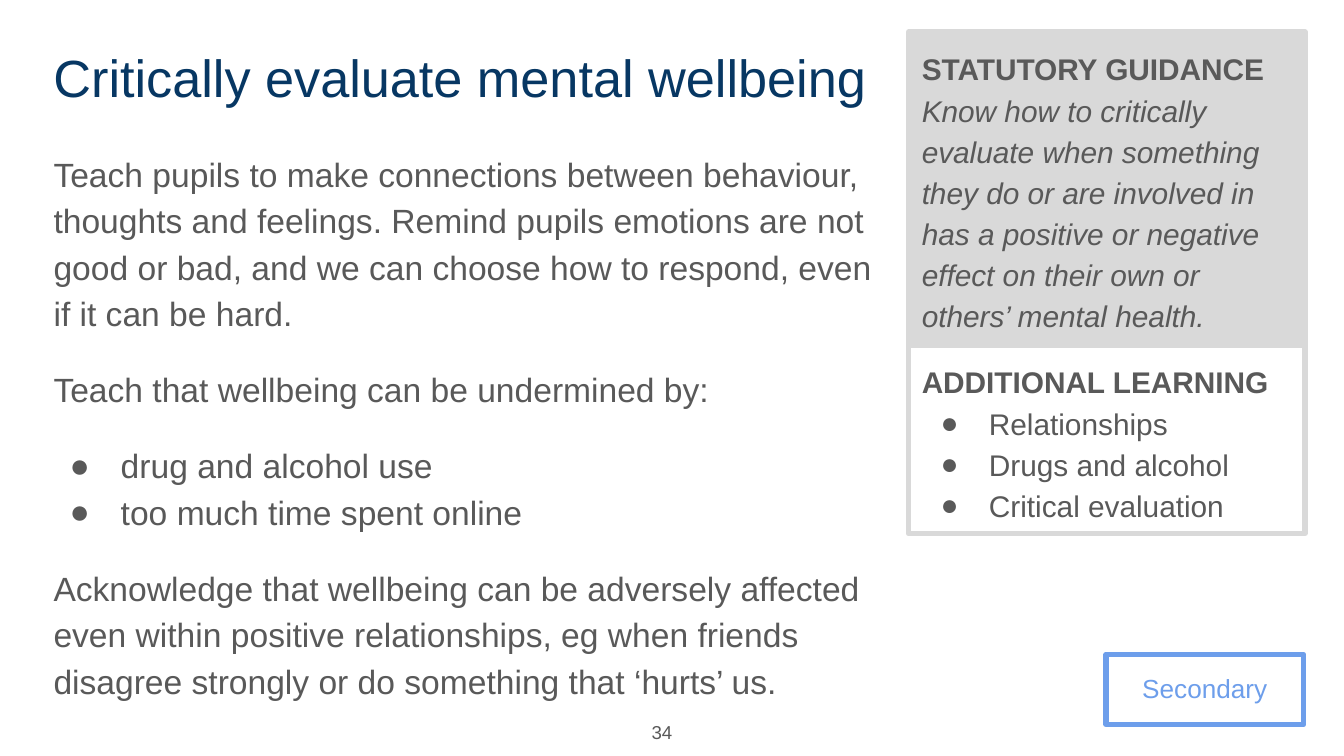
from copy import deepcopy
from dataclasses import dataclass

from lxml.etree import SubElement
from pptx import Presentation
from pptx.dml.color import RGBColor
from pptx.enum.shapes import MSO_SHAPE
from pptx.enum.text import MSO_ANCHOR, PP_ALIGN
from pptx.oxml.ns import qn
from pptx.util import Inches, Pt

FONT = "Arial"
NAVY, GREY, LIGHT_GREY, BLUE = "073763", "595959", "D9D9D9", "6D9EEB"
BULLET_INDENT = 0.5


@dataclass(frozen=True)
class Line:
    """One paragraph; a vertical tab in the text starts a new line and run."""
    text: str
    before: float = 0
    after: float = 0
    hanging: float = 0
    styles: tuple[str, ...] = ("",)


@dataclass(frozen=True)
class Block:
    """A text block with an optional frame."""
    left: float
    top: float
    width: float
    height: float
    lines: tuple[Line, ...]
    size: float
    color: str = GREY
    border: str = ""
    fill: str = ""
    align: PP_ALIGN = PP_ALIGN.LEFT
    anchor: MSO_ANCHOR = MSO_ANCHOR.TOP
    spacing: float = 1.15


BLOCKS = (
    Block(8.23, 4.87, 1.47, 0.52, (Line("Secondary"),), 14, BLUE, border=BLUE,
          align=PP_ALIGN.CENTER),
    Block(0.3, 0.24, 6.6, 0.63, (Line("Critically evaluate mental wellbeing"),),
          28, NAVY, spacing=1.0),
    Block(0.3, 1, 6.32, 4.12, (
        Line("Teach pupils to make connections between behaviour, thoughts and "
             "feelings. Remind pupils emotions are not good or bad, and we can "
             "choose how to respond, even if it can be hard."),
        Line("Teach that wellbeing can be undermined by: ", before=16),
        Line("drug and alcohol use", before=16, hanging=0.38),
        Line("too much time spent online", hanging=0.38),
        Line("Acknowledge that wellbeing can be adversely affected even within "
             "positive relationships, eg when friends disagree strongly or do "
             "something that ‘hurts’ us.", before=16),
    ), 18),
    Block(6.76, 0.24, 2.95, 2.33, (
        Line("STATUTORY GUIDANCE \vKnow how to critically evaluate when "
             "something they do or are involved in has a positive or negative "
             "effect on their own or others’ mental health.",
             after=16, styles=("bold", "italic")),
    ), 16, border=LIGHT_GREY, fill=LIGHT_GREY),
    Block(4.59, 5.26, 0.51, 0.37, (Line("34"),), 10, align=PP_ALIGN.RIGHT,
          anchor=MSO_ANCHOR.MIDDLE, spacing=1.0),
    Block(6.76, 2.57, 2.95, 1.4, (
        Line("ADDITIONAL LEARNING", styles=("bold",)),
        *(Line(topic, hanging=0.36) for topic in
          ("Relationships", "Drugs and alcohol ", "Critical evaluation")),
    ), 16, border=LIGHT_GREY),
)


def rgb(color: str) -> RGBColor:
    """Turn a hex string into a colour."""
    return RGBColor.from_string(color)


def add_bullet(paragraph, hanging: float, color: str) -> None:
    """Give a paragraph a round bullet and a hanging indent."""
    properties = paragraph._p.get_or_add_pPr()
    properties.set("marL", str(Inches(BULLET_INDENT)))
    properties.set("indent", str(-Inches(hanging)))
    bullet_color = SubElement(properties, qn("a:buClr"))
    SubElement(bullet_color, qn("a:srgbClr"), val=color)
    SubElement(properties, qn("a:buFont"), typeface=FONT)
    SubElement(properties, qn("a:buChar"), char="●")


def write_line(paragraph, line: Line, block: Block) -> None:
    """Write and format one paragraph."""
    paragraph.text = line.text
    paragraph.alignment = block.align
    paragraph.line_spacing = block.spacing
    paragraph.space_before = Pt(line.before)
    paragraph.space_after = Pt(line.after)
    if line.hanging:
        add_bullet(paragraph, line.hanging, block.color)
    for run, style in zip(paragraph.runs, line.styles):
        run.font.name = FONT
        run.font.size = Pt(block.size)
        run.font.color.rgb = rgb(block.color)
        run.font.bold = style == "bold"
        run.font.italic = style == "italic"
    for line_break in paragraph._p.findall(qn("a:br")):
        line_break.append(deepcopy(paragraph.runs[0].font._rPr))


def add_block(slide, block: Block) -> None:
    """Draw a framed rectangle or a plain text box with its lines."""
    area = [Inches(value) for value in
            (block.left, block.top, block.width, block.height)]
    if block.border:
        shape = slide.shapes.add_shape(MSO_SHAPE.RECTANGLE, *area)
        shape.shadow.inherit = False
        shape.line.color.rgb = rgb(block.border)
        shape.line.width = Pt(3)
        if block.fill:
            shape.fill.solid()
            shape.fill.fore_color.rgb = rgb(block.fill)
        else:
            shape.fill.background()
    else:
        shape = slide.shapes.add_textbox(*area)
    frame = shape.text_frame
    frame.word_wrap = True
    frame.vertical_anchor = block.anchor
    frame.margin_left = frame.margin_right = Inches(0.1)
    frame.margin_top = frame.margin_bottom = Inches(0.1)
    for index, line in enumerate(block.lines):
        paragraph = frame.add_paragraph() if index else frame.paragraphs[0]
        write_line(paragraph, line, block)


def main() -> None:
    """Build and save the slide."""
    presentation = Presentation()
    presentation.slide_width = Inches(10)
    presentation.slide_height = Inches(10) * 9 // 16
    slide = presentation.slides.add_slide(presentation.slide_layouts[6])
    for block in BLOCKS:
        add_block(slide, block)
    presentation.save("out.pptx")


main()
